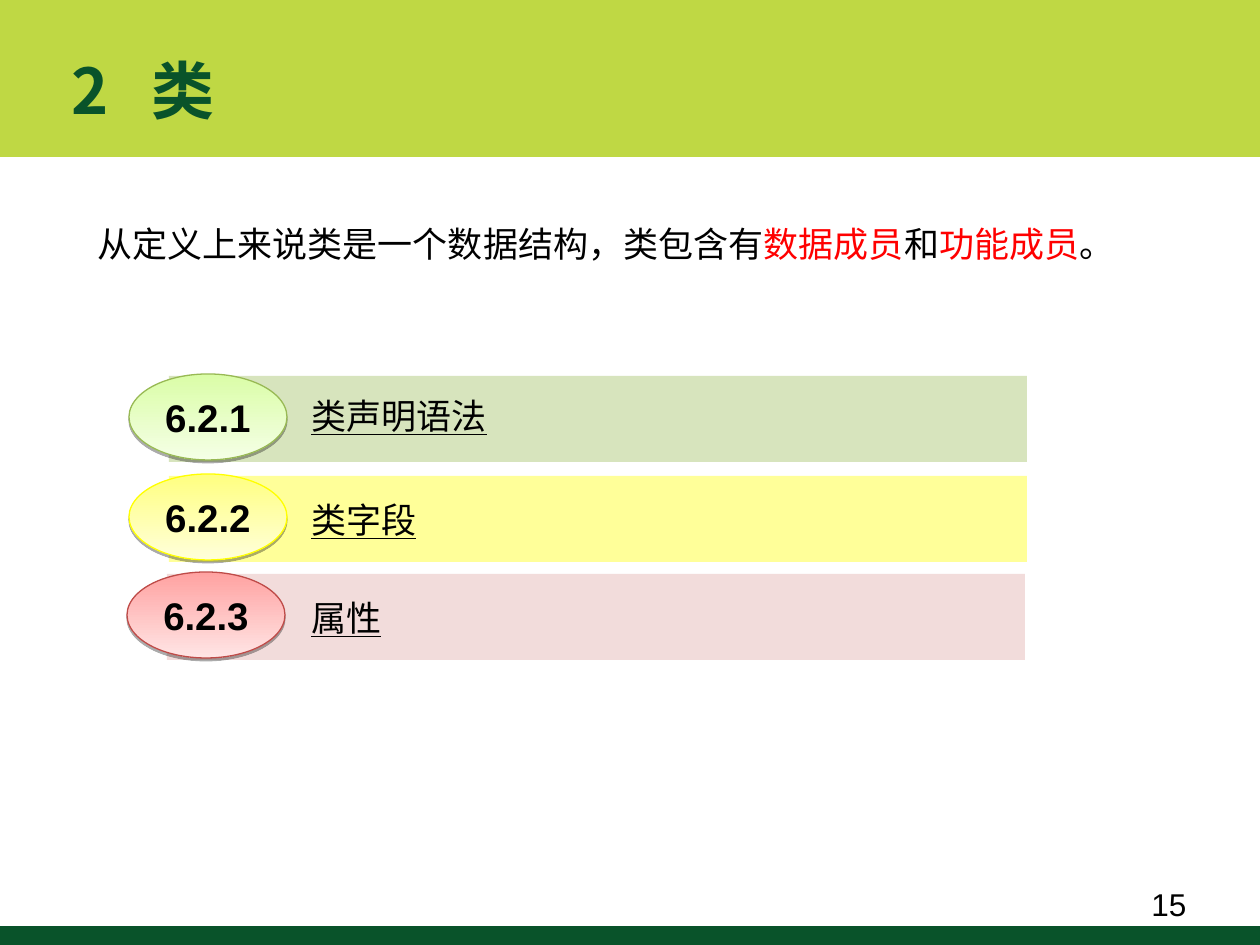
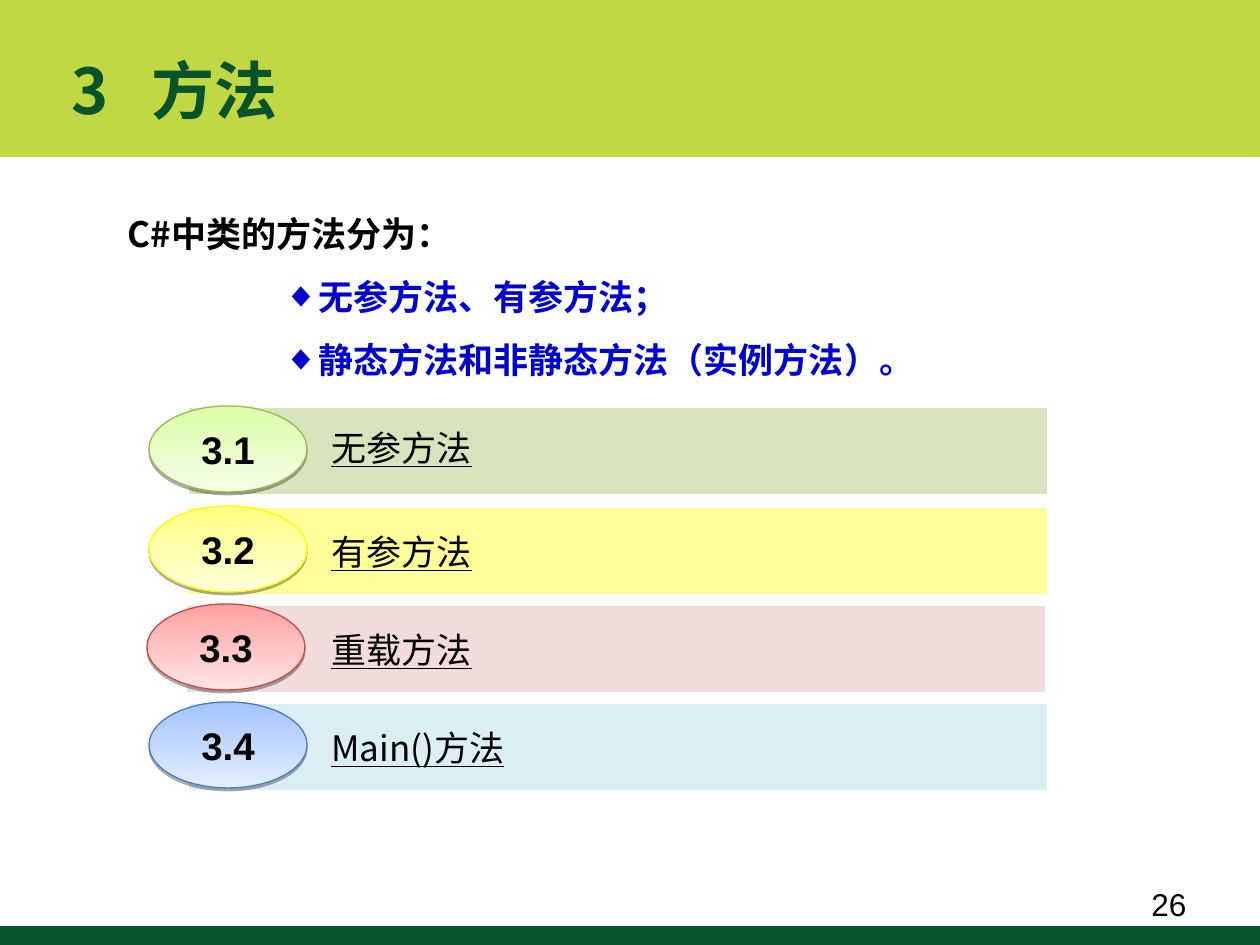
"""Build two section-overview slides about classes and methods."""
import lxml.etree
import pptx
import pptx.dml.color
import pptx.enum.shapes
import pptx.enum.text
import pptx.oxml.ns
import pptx.util

RGB = pptx.dml.color.RGBColor
ALIGN = pptx.enum.text.PP_ALIGN
ANCHOR = pptx.enum.text.MSO_ANCHOR
SHAPE = pptx.enum.shapes.MSO_SHAPE
qn = pptx.oxml.ns.qn

LIME = RGB(0xBF, 0xD8, 0x44)
DARK_GREEN = RGB(0x09, 0x53, 0x2A)
BLACK = RGB(0, 0, 0)
RED = RGB(0xFF, 0, 0)
BLUE = RGB(0, 0, 0xCC)

PX = 914400 / 126
WIDTH, HEIGHT = 1260, 945
CJK, LATIN = "Noto Sans CJK SC", "Arial"

FORMATS = {
    "title": {"name": CJK, "size": pptx.util.Pt(36), "bold": True},
    "body": {"name": CJK, "size": pptx.util.Pt(20)},
    "strong": {"name": CJK, "size": pptx.util.Pt(20), "bold": True},
    "label": {"name": CJK, "size": pptx.util.Pt(20), "underline": True},
    "number": {"name": LATIN, "size": pptx.util.Pt(22), "bold": True},
    "page": {"name": LATIN, "size": pptx.util.Pt(18)},
}

ITEM_STYLES = [
    {"top": 0, "shift": 0, "label": 12, "bar": RGB(0xD7, 0xE4, 0xBD),
     "stops": (RGB(0xDA, 0xFD, 0xA7), RGB(0xF5, 0xFF, 0xE6)), "line": RGB(0x98, 0xB9, 0x54)},
    {"top": 100, "shift": 0, "label": 16, "bar": RGB(0xFF, 0xFF, 0x99),
     "stops": (RGB(0xFF, 0xFF, 0x80), RGB(0xFF, 0xFF, 0xDA)), "line": RGB(0xFF, 0xFF, 0)},
    {"top": 198, "shift": -2, "label": 16, "bar": RGB(0xF2, 0xDC, 0xDB),
     "stops": (RGB(0xFF, 0xA2, 0xA1), RGB(0xFF, 0xE5, 0xE5)), "line": RGB(0xBE, 0x4B, 0x48)},
    {"top": 296, "shift": 0, "label": 16, "bar": RGB(0xDB, 0xEE, 0xF4),
     "stops": (RGB(0xA3, 0xC4, 0xFF), RGB(0xE5, 0xEE, 0xFF)), "line": RGB(0x4A, 0x7E, 0xBB)},
]


def px(*lengths):
    """Convert pixel lengths to EMU."""
    return [round(length * PX) for length in lengths]


def add_xml(parent, tag, **attributes):
    """Append a drawing element with the given attributes."""
    values = {name: str(value) for name, value in attributes.items()}
    return lxml.etree.SubElement(parent, qn(tag), values)


class Deck:
    """Hold the shared style and the current slide."""

    def __init__(self):
        """Start an empty presentation."""
        self.presentation = pptx.Presentation()
        self.presentation.slide_width, self.presentation.slide_height = px(WIDTH, HEIGHT)
        self.slide = None

    def start_slide(self, number, title, page):
        """Add a slide with its bands, title and page number."""
        self.slide = self.presentation.slides.add_slide(self.presentation.slide_layouts[6])
        self.bar(self.slide.shapes, (0, 0, WIDTH, 157), LIME)
        self.bar(self.slide.shapes, (0, 926, WIDTH, 19), DARK_GREEN)
        self.text((1139, 879, 110, 50), [(page, BLACK)], "page")
        frame = self.text((59, 29, 857, 120), [(f"{number}\t{title}", DARK_GREEN)], "title")
        frame.vertical_anchor = ANCHOR.MIDDLE
        tabs = add_xml(frame.paragraphs[0]._p.get_or_add_pPr(), "a:tabLst")
        add_xml(tabs, "a:tab", pos=px(80)[0], algn="l")

    def fill_paragraph(self, paragraph, runs, style):
        """Write coloured runs in a named format."""
        for text, color in runs:
            run = paragraph.add_run()
            run.text = text
            for name, value in FORMATS[style].items():
                setattr(run.font, name, value)
            run.font.color.rgb = color
            add_xml(run._r.get_or_add_rPr(), "a:ea", typeface=FORMATS[style]["name"])

    def text(self, box, runs, style):
        """Add a wrapping text box with one paragraph."""
        frame = self.slide.shapes.add_textbox(*px(*box)).text_frame
        frame.word_wrap = True
        self.fill_paragraph(frame.paragraphs[0], runs, style)
        return frame

    def intro(self, box, runs, style, bullets=()):
        """Add an indented lead sentence and its diamond bullets."""
        frame = self.text(box, runs, style)
        frame.paragraphs[0]._p.get_or_add_pPr().set("indent", str(px(31)[0]))
        for bullet in bullets:
            paragraph = frame.add_paragraph()
            properties = paragraph._p.get_or_add_pPr()
            for name, value in zip(("marL", "indent"), px(126, 61)):
                properties.set(name, str(value))
            add_xml(add_xml(properties, "a:buClr"), "a:srgbClr", val=BLUE)
            add_xml(properties, "a:buFont", typeface=LATIN)
            add_xml(properties, "a:buChar", char="◆")
            self.fill_paragraph(paragraph, [(bullet, BLUE)], style)
        for paragraph in frame.paragraphs:
            paragraph.line_spacing = 1.5

    def bar(self, shapes, box, color):
        """Add a plain filled rectangle."""
        shape = shapes.add_shape(SHAPE.RECTANGLE, *px(*box))
        shape.fill.solid()
        shape.fill.fore_color.rgb = color
        shape.line.fill.background()
        shape.shadow.inherit = False

    def oval(self, shapes, box, number, style):
        """Add a shaded, numbered ellipse with a soft lower edge."""
        shape = shapes.add_shape(SHAPE.OVAL, *px(*box))
        shape.fill.gradient()
        shape.fill.gradient_angle = 270
        for stop, color in zip(shape.fill.gradient_stops, style["stops"]):
            stop.color.rgb = color
        for stop, position in zip(shape.fill.gradient_stops, (0, 1)):
            stop.position = position
        shape.line.color.rgb = style["line"]
        shape.line.width = pptx.util.Pt(0.75)
        shape.shadow.inherit = False
        effects = shape._element.spPr.find(qn("a:effectLst"))
        shadow = add_xml(effects, "a:outerShdw", blurRad=0, dist=20000, dir=5400000, rotWithShape=0)
        add_xml(add_xml(shadow, "a:srgbClr", val=BLACK), "a:alpha", val=33000)
        shape.text_frame.vertical_anchor = ANCHOR.MIDDLE
        paragraph = shape.text_frame.paragraphs[0]
        paragraph.alignment = ALIGN.CENTER
        self.fill_paragraph(paragraph, [(number, BLACK)], "number")

    def contents(self, left, top, prefix, labels):
        """Add the numbered list of sections."""
        for index, (label, style) in enumerate(zip(labels, ITEM_STYLES), 1):
            bar_left, bar_top = left + style["shift"], top + style["top"]
            shapes = self.slide.shapes.add_group_shape().shapes
            self.bar(shapes, (bar_left, bar_top, 858, 86), style["bar"])
            self.oval(shapes, (bar_left - 40, bar_top - 2, 158, 86), f"{prefix}.{index}", style)
            self.text((left + 130, bar_top + style["label"], 434, 55), [(label, BLACK)], "label")


def main():
    """Build and save both slides."""
    deck = Deck()

    deck.start_slide("2", "类", "15")
    deck.intro((54, 195, 1113, 76), [
        ("从定义上来说类是一个数据结构，类包含有", BLACK), ("数据成员", RED),
        ("和", BLACK), ("功能成员", RED), ("。", BLACK)], "body")
    deck.contents(169, 376, "6.2", ["类声明语法", "类字段", "属性"])

    deck.start_slide("3", "方法", "26")
    deck.intro((84, 185, 1113, 202), [("C#中类的方法分为：", BLACK)], "strong",
               ["无参方法、有参方法；", "静态方法和非静态方法（实例方法）。"])
    deck.contents(189, 408, "3", ["无参方法", "有参方法", "重载方法", "Main()方法"])

    deck.presentation.save("out.pptx")


if __name__ == "__main__":
    main()
